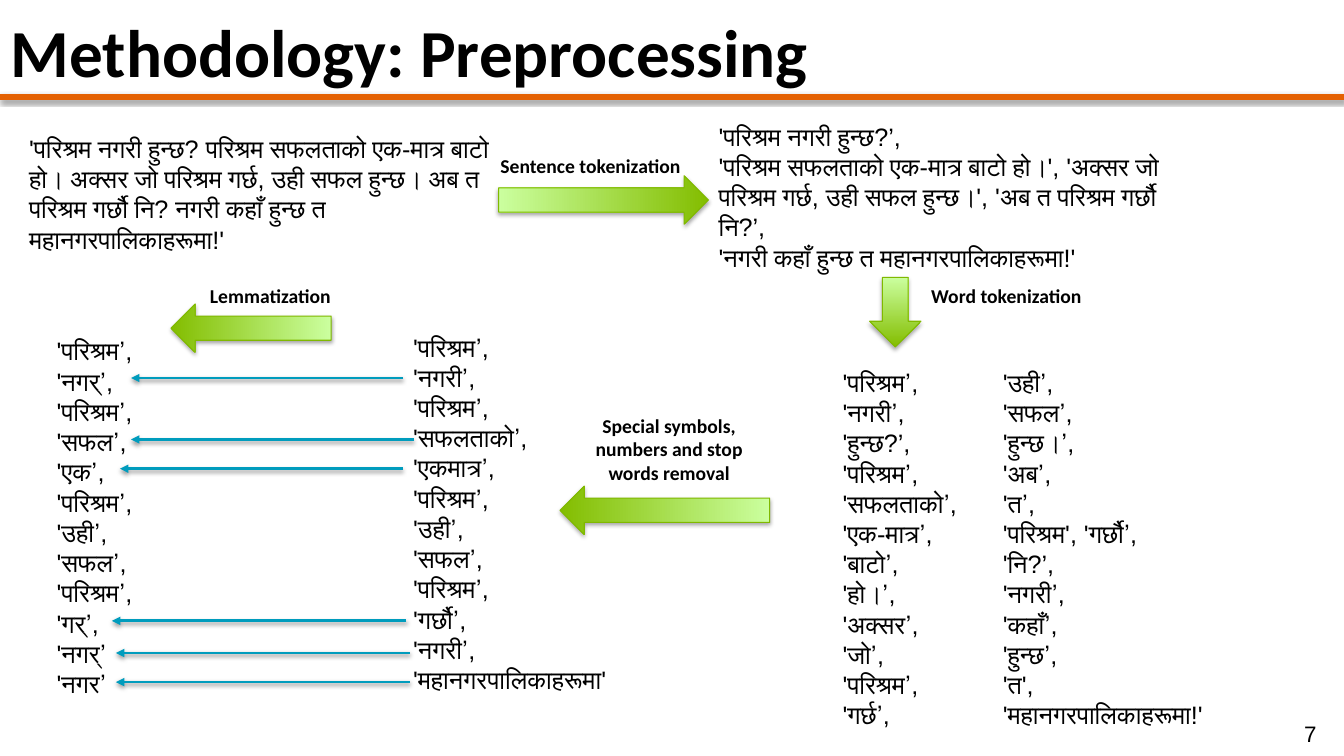
from lxml.etree import SubElement
from pptx import Presentation
from pptx.dml.color import RGBColor
from pptx.enum.shapes import MSO_CONNECTOR, MSO_SHAPE
from pptx.enum.text import MSO_ANCHOR, PP_ALIGN
from pptx.oxml.ns import qn
from pptx.util import Pt

BLACK = RGBColor(0x00, 0x00, 0x00)
ORANGE = RGBColor(0xE4, 0x61, 0x02)
TEAL = RGBColor(0x00, 0x9C, 0xBD)
DARK_GREEN = RGBColor(0x83, 0xBD, 0x00)
LIGHT_GREEN = RGBColor(0xCB, 0xFF, 0x9F)
EDGE_GREEN = RGBColor(0x80, 0xB9, 0x00)

TITLE = "Methodology: Preprocessing"
PAGE_NUMBER = "7"

# (left, top, width, height), paragraphs
NEPALI_TEXTS = [
    ((13.7, 91.6, 342.7, 94.3), [
        "'परिश्रम नगरी हुन्छ? परिश्रम सफलताको एक-मात्र बाटो हो। अक्सर जो परिश्रम गर्छ, "
        "उही सफल हुन्छ। अब त परिश्रम गर्छौ नि? नगरी कहाँ हुन्छ त महानगरपालिकाहरूमा!'"]),
    ((506.2, 82.8, 342.7, 116.6), [
        "'परिश्रम नगरी हुन्छ?’,",
        "'परिश्रम सफलताको एक-मात्र बाटो हो।', 'अक्सर जो परिश्रम गर्छ, उही सफल हुन्छ।', "
        "'अब त परिश्रम गर्छौ नि?’,",
        "'नगरी कहाँ हुन्छ त महानगरपालिकाहरूमा!'"]),
    ((288, 233.5, 182.9, 269.3), [
        "'परिश्रम’,", "'नगरी’,", "'परिश्रम’,", "'सफलताको’,", "'एकमात्र’,", "'परिश्रम’,",
        "'उही’,", "'सफल’,", "'परिश्रम’,", "'गर्छौ’,", "'नगरी’,", "'महानगरपालिकाहरूमा'"]),
    ((594.7, 258.7, 114.5, 290.9), [
        "'परिश्रम’,", "'नगरी’,", "'हुन्छ?’,", "'परिश्रम’,", "'सफलताको’,", "'एक-मात्र’,",
        "'बाटो’,", "'हो।’,", "'अक्सर’,", "'जो’,", "'परिश्रम’,", "'गर्छ’,"]),
    ((709.2, 258.7, 182.9, 334.1), [
        "'उही’,", "'सफल’,", "'हुन्छ।’,", "'अब’,", "'त’,", "'परिश्रम', 'गर्छौ’,", "'नि?’,",
        "'नगरी’,", "'कहाँ’,", "'हुन्छ’,", "'त', 'महानगरपालिकाहरूमा!'"]),
    ((33.4, 236.3, 182.9, 269.3), [
        "'परिश्रम’,", "'नगर्’,", "'परिश्रम’,", "'सफल’,", "'एक’,", "'परिश्रम’,",
        "'उही’,", "'सफल’,", "'परिश्रम’,", "'गर्’,", "'नगर्’", "'नगर’"]),
]

# (left, top, width, height), label, alignment
STEP_LABELS = [
    ((350.4, 106.2, 163.4, 24.5), "Sentence tokenization", PP_ALIGN.LEFT),
    ((658.1, 199.4, 139, 24.5), "Word tokenization", PP_ALIGN.LEFT),
    ((133.4, 199.4, 119.5, 24.5), "Lemmatization", PP_ALIGN.CENTER),
    ((399.9, 291.9, 156.2, 58.3), "Special symbols, numbers and stop words removal",
     PP_ALIGN.CENTER),
]

# center x, center y, thickness, length, rotation of a down arrow
STEP_ARROWS = [
    (431.1, 142.8, 34.6, 149.8, 270),
    (639.5, 223, 36.7, 49.7, 0),
    (474.9, 364.5, 34.6, 149.8, 90),
    (179.3, 234.4, 34.6, 114.5, 90),
]

# word right end, lemma left end, height on the slide
LEMMA_ARROWS = [
    (288, 93.6, 270), (295.9, 93.6, 313.9), (288, 85.7, 334.8),
    (290.2, 79.9, 443.5), (293, 82.8, 466.4), (293, 82.8, 487.2),
]


def add_shadow(shape, distance, opacity):
    """Give a shape a soft black shadow straight below it."""
    effects = SubElement(shape._element.spPr, qn("a:effectLst"))
    shadow = SubElement(effects, qn("a:outerShdw"), blurRad=str(Pt(3.1)),
                        dist=str(Pt(distance)), dir="5400000", rotWithShape="0")
    color = SubElement(shadow, qn("a:srgbClr"), val=str(BLACK))
    SubElement(color, qn("a:alpha"), val=str(opacity * 1000))


def add_text(slide, box, lines, size, font="Arial", bold=False, align=PP_ALIGN.LEFT):
    shape = slide.shapes.add_textbox(*(Pt(length) for length in box))
    frame = shape.text_frame
    frame.word_wrap = True
    frame.vertical_anchor = MSO_ANCHOR.TOP
    for index, line in enumerate(lines):
        paragraph = frame.paragraphs[0] if index == 0 else frame.add_paragraph()
        paragraph.alignment = align
        run = paragraph.add_run()
        run.text = line
        run.font.size = Pt(size)
        run.font.name = font
        run.font.bold = bold
        run.font.color.rgb = BLACK
    return frame


def add_line(slide, start_x, end_x, y, color, width, arrow=False):
    line = slide.shapes.add_connector(
        MSO_CONNECTOR.STRAIGHT, Pt(start_x), Pt(y), Pt(end_x), Pt(y))
    line.line.color.rgb = color
    line.line.width = Pt(width)
    if arrow:
        SubElement(line.line._get_or_add_ln(), qn("a:tailEnd"), type="triangle")
    add_shadow(line, 1.6, 38)


def add_step_arrow(slide, center_x, center_y, thickness, length, rotation):
    arrow = slide.shapes.add_shape(
        MSO_SHAPE.DOWN_ARROW, Pt(center_x - thickness / 2), Pt(center_y - length / 2),
        Pt(thickness), Pt(length))
    arrow.rotation = rotation
    arrow.fill.gradient()
    arrow.fill.gradient_angle = 90
    for stop, color, position in zip(
            arrow.fill.gradient_stops, (DARK_GREEN, LIGHT_GREEN), (0, 1)):
        stop.color.rgb = color
        stop.position = position
    arrow.line.color.rgb = EDGE_GREEN
    arrow.line.width = Pt(0.75)
    add_shadow(arrow, 1.8, 35)


def main():
    presentation = Presentation()
    presentation.slide_width, presentation.slide_height = Pt(960), Pt(540)
    slide = presentation.slides.add_slide(presentation.slide_layouts[6])

    add_text(slide, (924.5, 511.2, 36, 26.6), [PAGE_NUMBER], 16)
    add_line(slide, 0, 960, 69.1, ORANGE, 4.5)
    title = add_text(slide, (0.7, 6.5, 887.8, 59), [TITLE], 48, "Calibri", True)
    title.margin_top = title.margin_bottom = Pt(3.6)
    title.vertical_anchor = MSO_ANCHOR.MIDDLE

    for box, lines in NEPALI_TEXTS:
        add_text(slide, box, lines, 18)
    for start_x, end_x, y in LEMMA_ARROWS:
        add_line(slide, start_x, end_x, y, TEAL, 2, arrow=True)
    for arrow in STEP_ARROWS:
        add_step_arrow(slide, *arrow)
    for box, label, align in STEP_LABELS:
        add_text(slide, box, [label], 14, "Calibri", True, align)

    presentation.save("out.pptx")


if __name__ == "__main__":
    main()
